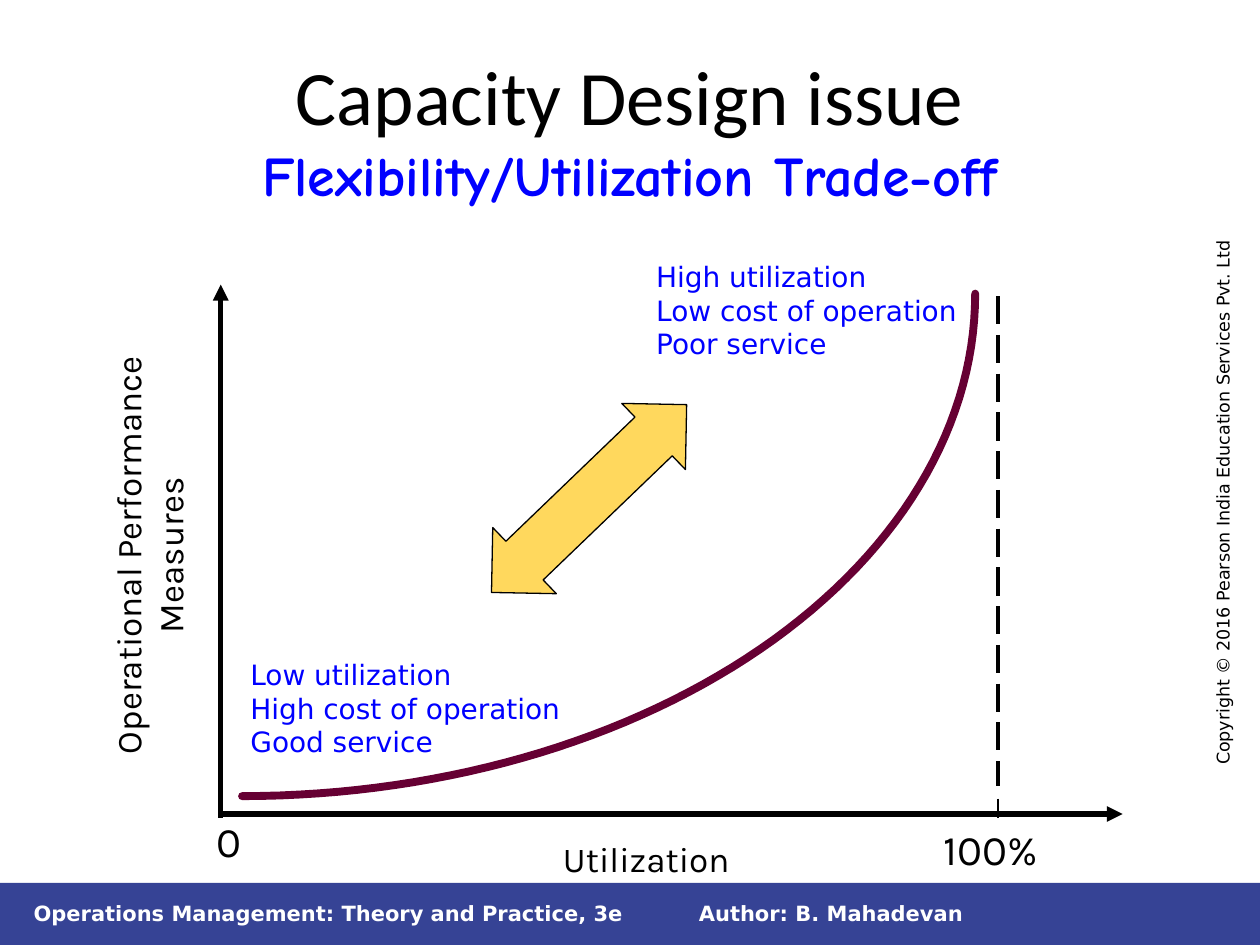
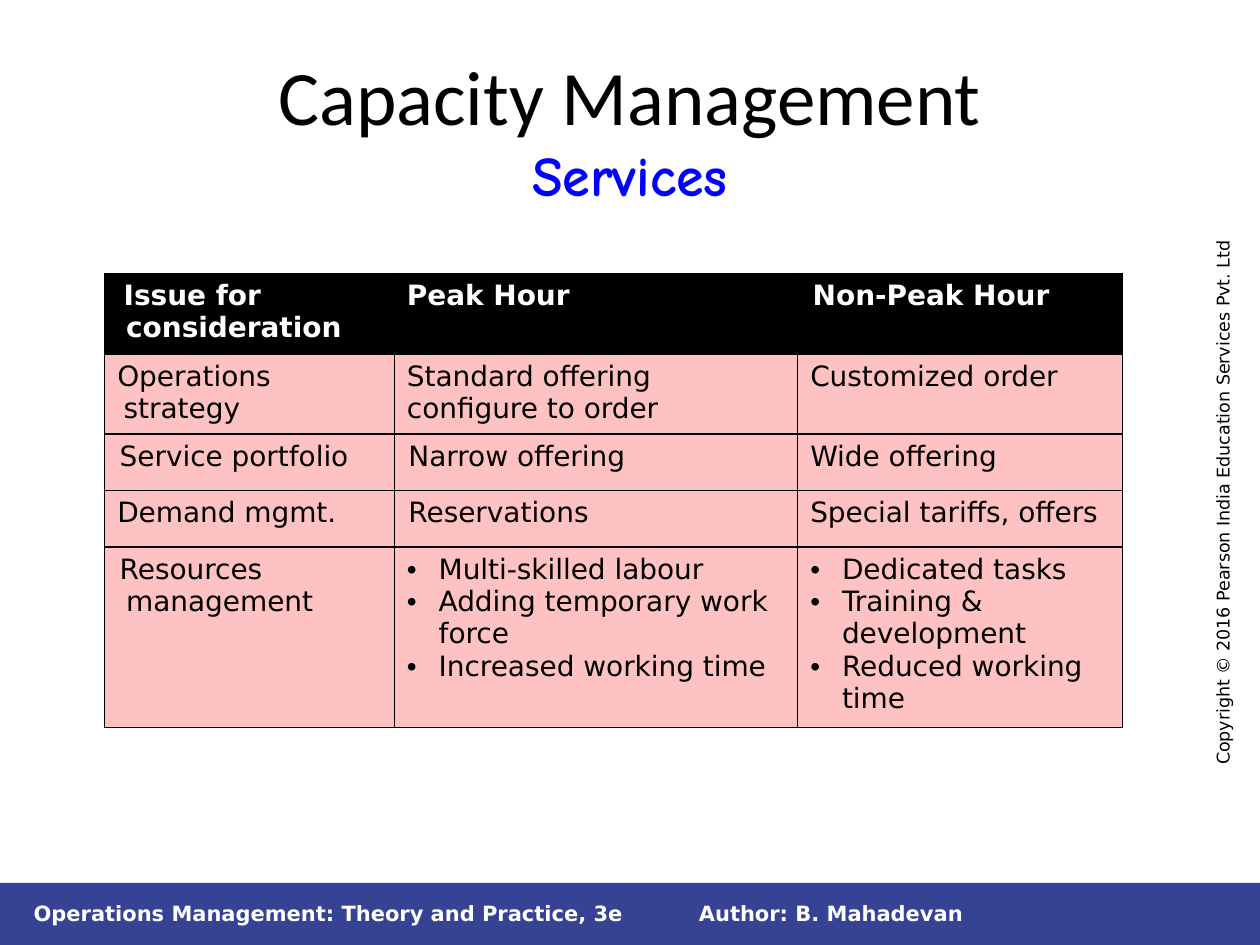
"""Build two slides on capacity: the utilization trade-off curve and the services table."""
from math import cos, pi, sin

from lxml.etree import SubElement
from pptx import Presentation
from pptx.dml.color import RGBColor as RGB
from pptx.enum.dml import MSO_LINE
from pptx.enum.shapes import MSO_CONNECTOR, MSO_SHAPE
from pptx.enum.text import MSO_ANCHOR, PP_ALIGN
from pptx.oxml import parse_xml
from pptx.oxml.ns import nsdecls, qn
from pptx.util import Cm, Pt

COLORS = {
    "black": "000000", "white": "FFFFFF", "band": "364395", "blue": "0000FF",
    "curve": "660033", "arrow": "FFD85D", "cell": "FFC2C2",
}
C = {name: RGB.from_string(value) for name, value in COLORS.items()}
BODY, LABEL = "DejaVu Sans", "Karla"


def add_text(s, box, lines, size, font, color="black", bold=False, align=None,
             wrap=True, rotation=0, anchor=MSO_ANCHOR.TOP):
    sp = s.shapes.add_textbox(*map(Cm, box))
    sp.rotation = rotation
    tf = sp.text_frame
    tf.word_wrap = wrap
    tf.vertical_anchor = anchor
    tf.text = lines
    for p in tf.paragraphs:
        p.alignment = align
        for r in p.runs:
            r.font.size, r.font.name, r.font.bold = Pt(size), font, bold
            r.font.color.rgb = C[color]
    return sp


def add_line(s, x1, y1, x2, y2, width, dash=None, arrow=None):
    sp = s.shapes.add_connector(MSO_CONNECTOR.STRAIGHT, Cm(x1), Cm(y1), Cm(x2), Cm(y2))
    sp.line.width = Pt(width)
    sp.line.color.rgb = C["black"]
    if dash:
        sp.line.dash_style = dash
    if arrow:
        SubElement(sp.line._get_or_add_ln(), qn(arrow), type="triangle")
    SubElement(sp._element.spPr, qn("a:effectLst"))


prs = Presentation()
prs.slide_width, prs.slide_height = Cm(25.4), Cm(19.05)

slides = []
for title, subtitle in [
    ("Capacity Design issue", "Flexibility/Utilization Trade-off"),
    ("Capacity Management", "Services"),
]:
    s = prs.slides.add_slide(prs.slide_layouts[6])
    slides.append(s)
    band = s.shapes.add_shape(MSO_SHAPE.RECTANGLE, 0, Cm(17.8), Cm(25.4), Cm(1.25))
    band.shadow.inherit = False
    band.fill.solid()
    band.fill.fore_color.rgb = C["band"]
    band.line.fill.background()
    for x, width, words in [
        (13.84, 11.86, "Author: B. Mahadevan"),
        (0.43, 12.7, "Operations Management: Theory and Practice, 3e"),
    ]:
        add_text(s, (x, 18.03, width, 0.77), words, 12, BODY, "white", bold=True,
                 anchor=MSO_ANCHOR.MIDDLE)
    add_text(s, (18.92, 9.6, 11.46, 0.68),
             "Copyright © 2016 Pearson India Education Services Pvt. Ltd",
             10, BODY, rotation=270)
    sp = add_text(s, (1.27, 0.76, 22.86, 3.18), f"{title}\v{subtitle}", 44, "Calibri",
                  align=PP_ALIGN.CENTER)
    sp.text_frame.margin_top = Cm(0.22)
    r = sp.text_frame.paragraphs[0].runs[1]
    r.font.size, r.font.name, r.font.bold = Pt(32), "Comic Neue", True
    r.font.color.rgb = C["blue"]

s = slides[0]
add_line(s, 4.45, 5.74, 4.45, 16.48, 3, arrow="a:headEnd")
add_line(s, 4.47, 16.41, 22.63, 16.41, 3, arrow="a:tailEnd")
add_line(s, 20.12, 16.1, 20.12, 16.48, 1)
add_line(s, 20.12, 5.97, 20.12, 15.85, 2, dash=MSO_LINE.LONG_DASH)

left, top, rx, ry, steps = 4.88, 5.92, 14.78, 10.13, 60
angles = [pi / 2 * i / steps for i in range(steps + 1)]
points = [(Cm(left + rx * cos(a)), Cm(top + ry * sin(a))) for a in angles]
fb = s.shapes.build_freeform(*points[0])
fb.add_line_segments(points[1:], close=False)
curve = fb.convert_to_shape()
curve.shadow.inherit = False
curve.fill.background()
curve.line.width = Pt(4.5)
curve.line.color.rgb = C["curve"]
ln = curve.line._get_or_add_ln()
ln.set("cap", "rnd")
SubElement(ln, qn("a:round"))

add_text(s, (9.83, 16.76, 6.4, 1.1), "Utilization", 20, LABEL, align=PP_ALIGN.CENTER)
add_text(s, (18.77, 16.48, 2.72, 1.28), "100%", 24, LABEL, wrap=False)
add_text(s, (4.11, 16.31, 0.97, 1.28), "0", 24, LABEL, wrap=False)
add_text(s, (-1.37, 10.21, 8.74, 1.96), "Operational Performance\nMeasures", 20, LABEL,
         align=PP_ALIGN.CENTER, wrap=False, rotation=270)
for x, y, width, words in [
    (12.98, 5.11, 6.6, "High utilization\nLow cost of operation\nPoor service"),
    (4.8, 13.13, 6.78, "Low utilization\nHigh cost of operation\nGood service"),
]:
    add_text(s, (x, y, width, 2.29), words, 16, BODY, "blue", wrap=False)

sp = s.shapes.add_shape(MSO_SHAPE.UP_DOWN_ARROW, Cm(10.95), Cm(7.32), Cm(1.85), Cm(5.46))
sp.rotation = 46.1
sp.adjustments[0], sp.adjustments[1] = 0.5, 0.585
sp.shadow.inherit = False
sp.fill.solid()
sp.fill.fore_color.rgb = C["arrow"]
sp.line.color.rgb = C["black"]
sp.line.width = Pt(0.75)

s = slides[1]
rows = [
    ("Issue for consideration", "Peak Hour", "Non-Peak Hour"),
    ("Operations strategy", "Standard offering configure to order", "Customized order"),
    ("Service portfolio", "Narrow offering", "Wide offering"),
    ("Demand mgmt.", "Reservations", "Special tariffs, offers"),
    ("Resources management",
     "Multi-skilled labour\nAdding temporary work force\nIncreased working time",
     "Dedicated tasks\nTraining & development\nReduced working time"),
]
indents = {(0, 0): (0.18, -0.05), (0, 2): (0.15, -0.1), (1, 0): (0.13, -0.13),
           (2, 0): (0.18, -0.13), (3, 0): (0.13, -0.13), (4, 0): (0.18, -0.13),
           (2, 1): (0.03, 0), (3, 1): (0.03, 0),
           (4, 1): (0.64, -0.64), (4, 2): (0.64, -0.64)}
frame = s.shapes.add_table(5, 3, Cm(2.11), Cm(5.51), Cm(20.52), Cm(7.42))
table = frame.table
table.first_row = table.horz_banding = False
for col, width in zip(table.columns, (5.84, 8.13, 6.55)):
    col.width = Cm(width)
for row, height in zip(table.rows, (1.63, 1.22, 1.14, 1.14, 2.29)):
    row.height = Cm(height)
for i, row in enumerate(rows):
    for j, words in enumerate(row):
        cell = table.cell(i, j)
        tcPr = cell._tc.get_or_add_tcPr()
        for side in "LRTB":
            tcPr.append(parse_xml(
                f'<a:ln{side} {nsdecls("a")} w="12700"><a:solidFill>'
                f'<a:srgbClr val="{COLORS["black"]}"/></a:solidFill></a:ln{side}>'))
        cell.fill.solid()
        cell.fill.fore_color.rgb = C["cell" if i else "black"]
        cell.text_frame.text = words
        margin, indent = indents.get((i, j), (0, 0))
        for p in cell.text_frame.paragraphs:
            pPr = p._p.get_or_add_pPr()
            pPr.set("marL", str(Cm(margin)))
            pPr.set("indent", str(Cm(indent)))
            if "\n" in words:
                SubElement(pPr, qn("a:buFont"), typeface="Arial")
                SubElement(pPr, qn("a:buChar"), char="•")
            for r in p.runs:
                r.font.size, r.font.name, r.font.bold = Pt(16), BODY, i == 0
                r.font.color.rgb = C["black" if i else "white"]

prs.save("out.pptx")
